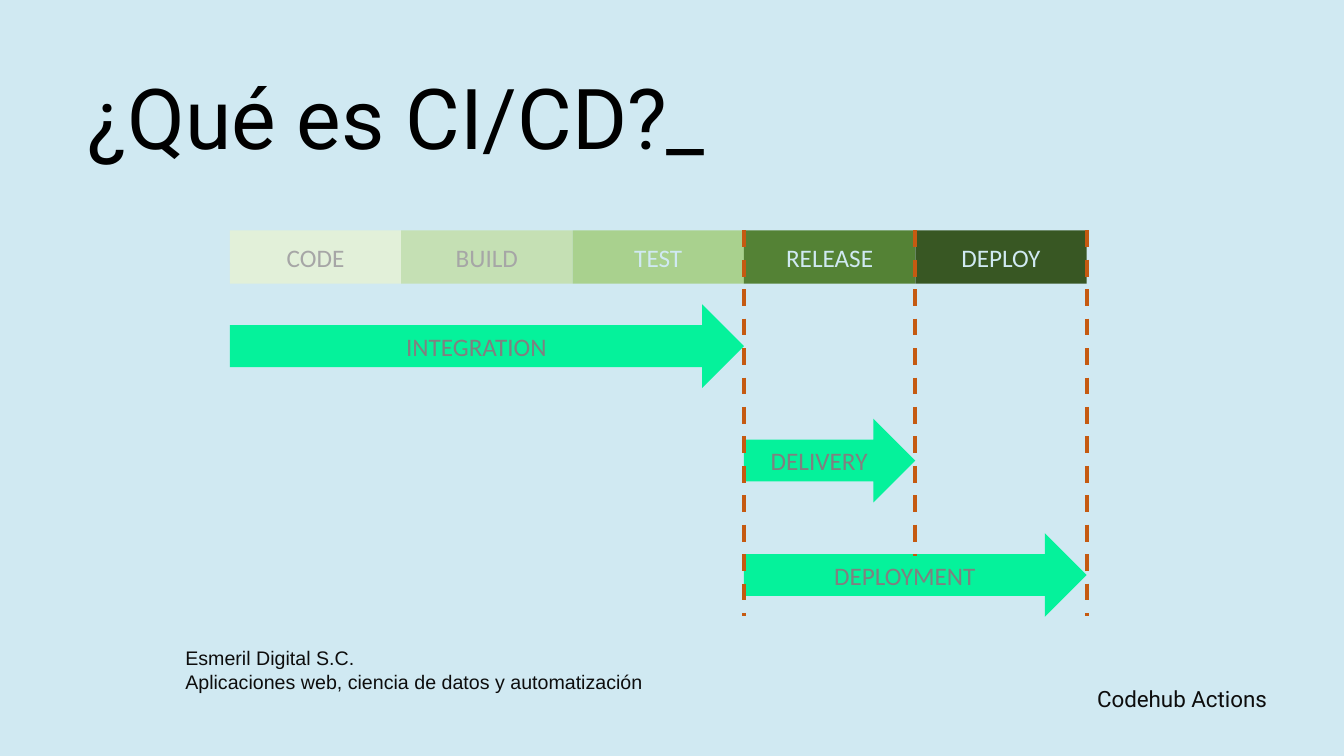
"""Build the CI/CD overview slide with its pipeline stages and phase arrows."""
import pptx
import pptx.dml.color
import pptx.enum.dml
import pptx.enum.shapes
import pptx.enum.text
import pptx.oxml
import pptx.util

ALIGN = pptx.enum.text.PP_ALIGN
ANCHOR = pptx.enum.text.MSO_ANCHOR
SHAPE = pptx.enum.shapes.MSO_SHAPE

THEME = {
    "background": "D0E9F2",
    "title": {"name": "Roboto", "size": 60, "color": "000000"},
    "topic": {"name": "Roboto", "size": 16, "color": "0D0D0D"},
    "author": {"name": "Arial", "size": 14, "color": "0D0D0D"},
    "early": {"name": "Calibri", "size": 18, "color": "A6A6A6"},
    "late": {"name": "Calibri", "size": 18, "color": "D0E9F2"},
    "phase": {"name": "Calibri", "size": 18, "color": "808080"},
    "arrow": "05F29B",
    "boundary": "C55A11",
    "boundary_width": 3,
}

STAGES = [
    ("CODE", "E2F0D9", "early"),
    ("BUILD", "C5E0B4", "early"),
    ("TEST", "A9D18E", "late"),
    ("RELEASE", "548235", "late"),
    ("DEPLOY", "385723", "late"),
]
PHASES = [("INTEGRATION", 0, 3), ("DELIVERY", 3, 4), ("DEPLOYMENT", 3, 5)]
BOUNDARIES = [(3, 440), (4, 397.4), (5, 440)]

STAGE_LEFT, STAGE_TOP, STAGE_WIDTH, STAGE_HEIGHT = 164.2, 164.5, 122.4, 38.2
PHASE_TOP, PHASE_STEP, PHASE_HEIGHT = 217.4, 81.7, 59.8


def points(*lengths):
    return [pptx.util.Pt(length) for length in lengths]


def rgb(value):
    return pptx.dml.color.RGBColor.from_string(value)


def stage_edge(index):
    return STAGE_LEFT + index * STAGE_WIDTH


class SlideBuilder:
    """Hold the theme and the current slide, and add elements to it."""

    def __init__(self, deck, theme):
        self.theme = theme
        self.slide = deck.slides.add_slide(deck.slide_layouts[5])
        fill = self.slide.background.fill
        fill.solid()
        fill.fore_color.rgb = rgb(theme["background"])

    def set_text(self, shape, lines, style, align, anchor):
        frame = shape.text_frame
        frame_format = {
            "word_wrap": True,
            "auto_size": pptx.enum.text.MSO_AUTO_SIZE.NONE,
            "vertical_anchor": anchor,
        }
        for name, value in frame_format.items():
            setattr(frame, name, value)
        look = self.theme[style]
        font_format = {"name": look["name"], "size": pptx.util.Pt(look["size"])}
        for index, line in enumerate(lines):
            para = frame.add_paragraph() if index else frame.paragraphs[0]
            para.alignment = align
            span = para.add_run()
            span.text = line
            for name, value in font_format.items():
                setattr(span.font, name, value)
            span.font.color.rgb = rgb(look["color"])

    def title(self, text, left, top, width, height):
        box = self.slide.shapes.title
        place = zip(("left", "top", "width", "height"), points(left, top, width, height))
        for name, value in place:
            setattr(box, name, value)
        self.set_text(box, [text], "title", ALIGN.LEFT, ANCHOR.TOP)

    def text(self, lines, style, align, *place):
        box = self.slide.shapes.add_textbox(*points(*place))
        self.set_text(box, lines, style, align, ANCHOR.TOP)

    def block(self, kind, label, color, style, *place):
        shape = self.slide.shapes.add_shape(kind, *points(*place))
        shape.shadow.inherit = False
        shape.fill.solid()
        shape.fill.fore_color.rgb = rgb(color)
        shape.line.fill.background()
        self.set_text(shape, [label], style, ALIGN.CENTER, ANCHOR.MIDDLE)

    def boundary(self, x, top, bottom):
        connector = self.slide.shapes.add_connector(
            pptx.enum.shapes.MSO_CONNECTOR.STRAIGHT, *points(x, top, x, bottom)
        )
        line_format = {
            "width": pptx.util.Pt(self.theme["boundary_width"]),
            "dash_style": pptx.enum.dml.MSO_LINE.DASH,
        }
        connector.line.color.rgb = rgb(self.theme["boundary"])
        for name, value in line_format.items():
            setattr(connector.line, name, value)
        properties = connector._element.spPr
        properties.append(pptx.oxml.parse_xml(
            '<a:effectLst xmlns:a="http://schemas.openxmlformats.org/drawingml/2006/main"/>'
        ))


def main():
    deck = pptx.Presentation()
    deck.slide_width, deck.slide_height = points(960, 540)
    page = SlideBuilder(deck, THEME)
    page.title("¿Qué es CI/CD?_", 55.4, 43.2, 741.6, 80)
    page.text(["Codehub Actions"], "topic", ALIGN.RIGHT, 704.2, 486, 208, 26.6)
    page.text(
        ["Esmeril Digital S.C.", "Aplicaciones web, ciencia de datos y automatización"],
        "author", ALIGN.LEFT, 125.3, 458, 399, 41,
    )
    for index, (label, color, style) in enumerate(STAGES):
        page.block(SHAPE.RECTANGLE, label, color, style,
                   stage_edge(index), STAGE_TOP, STAGE_WIDTH, STAGE_HEIGHT)
    for row, (label, start, end) in enumerate(PHASES):
        page.block(SHAPE.RIGHT_ARROW, label, THEME["arrow"], "phase",
                   stage_edge(start), PHASE_TOP + row * PHASE_STEP,
                   (end - start) * STAGE_WIDTH, PHASE_HEIGHT)
    for edge, bottom in BOUNDARIES:
        page.boundary(stage_edge(edge), STAGE_TOP, bottom)
    deck.save("out.pptx")


if __name__ == "__main__":
    main()
